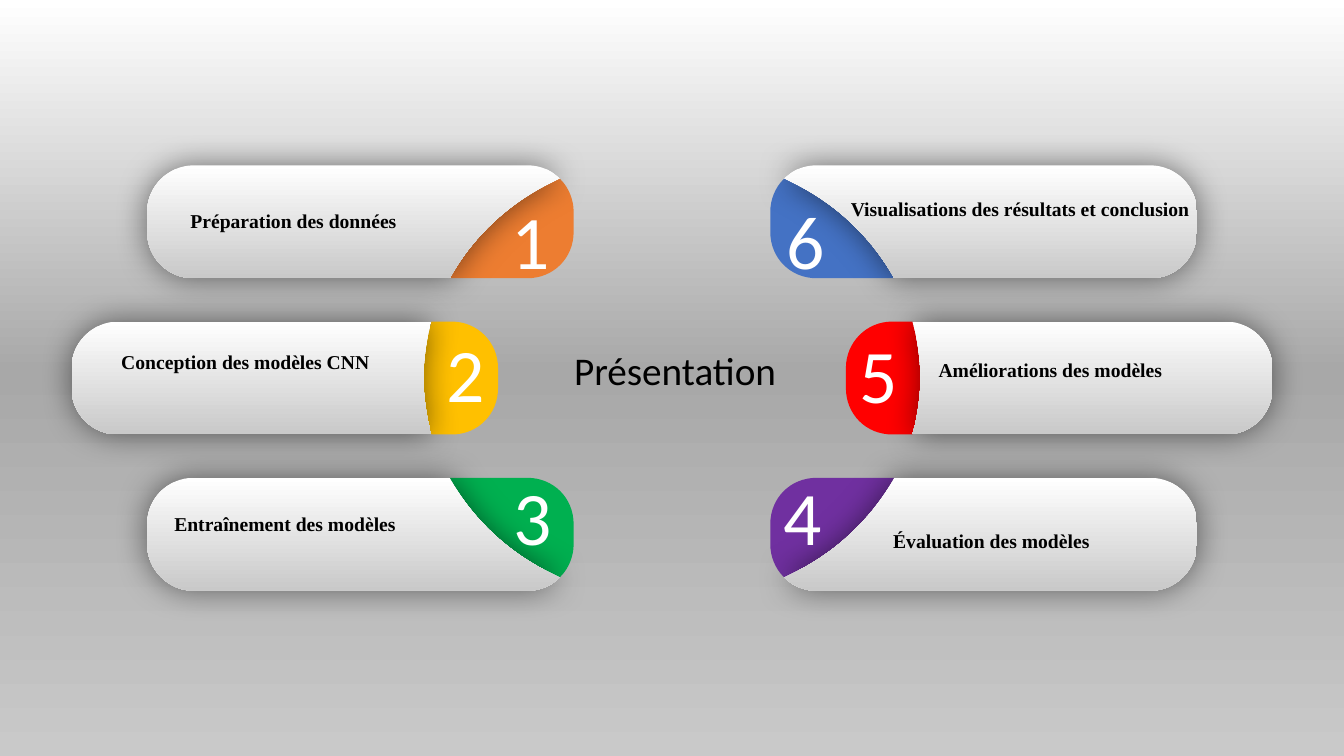
from copy import deepcopy
from lxml import etree
from pptx import Presentation
from pptx.dml.color import RGBColor as RGB
from pptx.enum.text import MSO_AUTO_SIZE as Auto, PP_ALIGN as Align
from pptx.oxml.ns import qn
from pptx.util import Inches, Pt

WIDE, HIGH = 4.23, 1.12
END = [(0.46, 1.12), (0.21, 1.12, 0, 0.92, 0, 0.66), (0, 0.46), (0, 0.21, 0.21, 0, 0.46, 0)]
CURVE = [(4.03, 0.16), (3.61, 0.36, 3.27, 0.67, 3.04, 1.05), (3, 1.12)]
CURVE_UP = [(3, 1.12), (3.04, 1.05), (3.27, 0.67, 3.61, 0.36, 4.03, 0.16)]
ARC = [(3.54, 0.11), (3.51, 0.26, 3.49, 0.41, 3.49, 0.56),
       (3.49, 0.71, 3.51, 0.86, 3.54, 1.01), (3.57, 1.12)]
ARC_UP = [(3.57, 1.12), (3.54, 1.01), (3.51, 0.86, 3.49, 0.71, 3.49, 0.56),
          (3.49, 0.41, 3.51, 0.26, 3.54, 0.11)]
ROUND = [(4.23, 0.66), (4.23, 0.92, 4.03, 1.12, 3.77, 1.12)]
PANEL = {
    "corner": [(0.46, 0), (3.77, 0), (3.87, 0, 3.96, 0.03, 4.03, 0.08), (4.09, 0.13)] + CURVE + END,
    "side": [(0.46, 0), (3.57, 0)] + ARC + END,
}
TAB = {
    "corner": [(4.09, 0.13), (4.1, 0.14), (4.18, 0.22, 4.23, 0.34, 4.23, 0.46)] + ROUND + CURVE_UP,
    "side": [(3.57, 0), (3.77, 0), (4.03, 0, 4.23, 0.21, 4.23, 0.46)] + ROUND + ARC_UP,
}
PILLS = [
    ("corner", 1.46, 1.64, False, False, "ED7D31"),
    ("corner", 7.64, 1.64, True, False, "4472C4"),
    ("side", 0.71, 3.19, False, False, "FFC000"),
    ("side", 8.39, 3.19, True, False, "FF0000"),
    ("corner", 1.46, 4.74, False, True, "00B050"),
    ("corner", 7.64, 4.74, True, True, "7030A0"),
]
DIGITS = [("1", 4.97, 1.87), ("2", 4.32, 3.19), ("3", 4.99, 4.61),
          ("4", 7.67, 4.61), ("5", 8.42, 3.2), ("6", 7.7, 1.87)]
LABELS = [
    ("Préparation des données", (1.79, 1.77, 2.84, 0.52), Align.LEFT, 35),
    ("Conception des modèles CNN", (0.67, 3.42, 3.53, 0.34), Align.CENTER, None),
    ("Entraînement des modèles", (1.63, 4.82, 3.01, 0.95), Align.LEFT, 31.7),
    ("Évaluation des modèles", (8.76, 4.99, 2.72, 0.49), Align.LEFT, 31.7),
    ("Améliorations des modèles", (9.21, 3.5, 2.55, 0.34), Align.LEFT, None),
    ("Visualisations des résultats et conclusion", (8.34, 1.9, 3.73, 0.34), Align.LEFT, None),
]
DIGIT = {"size": Pt(54), "name": "Calibri"}
LABEL = {"size": Pt(14), "name": "Times New Roman", "bold": True}
TITLE = {"size": Pt(28), "name": "Calibri"}


def color(code):
    """Turn a hex string into a colour."""
    return RGB.from_string(code)


def blend(fill, root, stops):
    """Fill from top to bottom through (position, colour) stops."""
    fill.gradient()
    fill.gradient_angle = 270
    marks = next(root.iter(qn("a:gsLst")))
    for _ in stops[2:]:
        marks.append(deepcopy(marks[0]))
    for mark, (pos, code) in zip(fill.gradient_stops, stops):
        mark.position = pos
        mark.color.rgb = color(code)


def glow(shape):
    """Add a soft, centred shadow."""
    effects = shape.element.spPr.find(qn("a:effectLst"))
    outer = etree.SubElement(effects, qn("a:outerShdw"), blurRad=str(Pt(23)), dist="0",
                             dir="5400000", algn="ctr", rotWithShape="0")
    tint = etree.SubElement(outer, qn("a:srgbClr"), val="000000")
    etree.SubElement(tint, qn("a:alpha"), val="50000")


def bend(shape, legs):
    """Turn the legs that hold three points into cubic curves."""
    lines = list(shape.element.iter(qn("a:lnTo")))
    for line, leg in zip(lines, legs):
        if len(leg) == 3:
            line.tag = qn("a:cubicBezTo")
            for spot, (x, y) in enumerate(leg[:2]):
                dot = etree.Element(qn("a:pt"), x=str(x - shape.left), y=str(y - shape.top))
                line.insert(spot, dot)


def outline(slide, route, left, top, mirror, flip):
    """Draw a route in a pill box, mirrored or flipped as asked."""
    legs = [[(Inches(left + (WIDE - x if mirror else x)),
              Inches(top + (HIGH - y if flip else y)))
             for x, y in zip(leg[::2], leg[1::2])] for leg in route]
    pen = slide.shapes.build_freeform(*legs[0][0])
    pen.add_line_segments([leg[-1] for leg in legs[1:]], close=True)
    shape = pen.convert_to_shape()
    bend(shape, legs[1:])
    shape.shadow.inherit = False
    shape.line.fill.background()
    return shape


def add_tab(slide, kind, left, top, mirror, flip, code):
    """Draw the coloured tab of a pill."""
    shape = outline(slide, TAB[kind], left, top, mirror, flip)
    shape.fill.solid()
    shape.fill.fore_color.rgb = color(code)


def add_panel(slide, kind, left, top, mirror, flip):
    """Draw the pale panel of a pill."""
    shape = outline(slide, PANEL[kind], left, top, mirror, flip)
    blend(shape.fill, shape.element, [(0, "FFFFFF"), (1, "C9C9C9")])
    glow(shape)


def write(slide, text, box, style, code="000000", align=Align.CENTER, lead=None, wrap=True):
    """Place one line of styled text in a box."""
    frame = slide.shapes.add_textbox(*map(Inches, box)).text_frame
    frame.word_wrap = wrap
    frame.auto_size = Auto.SHAPE_TO_FIT_TEXT
    para = frame.paragraphs[0]
    para.alignment = align
    if lead:
        para.line_spacing = Pt(lead)
    run = para.add_run()
    run.text = text
    for key, value in style.items():
        setattr(run.font, key, value)
    run.font.color.rgb = color(code)


def main():
    """Build and save the slide."""
    deck = Presentation()
    deck.slide_width, deck.slide_height = Inches(13.33), Inches(7.5)
    slide = deck.slides.add_slide(deck.slide_layouts[6])
    blend(slide.background.fill, slide.element, [(0, "FFFFFF"), (0.49, "A8A8A8"), (1, "C9C9C9")])
    for pill in PILLS:
        add_tab(slide, *pill)
    for pill in PILLS:
        add_panel(slide, *pill[:-1])
    for text, left, top in DIGITS:
        write(slide, text, (left, top, 0.59, 1.01), DIGIT, "FFFFFF", wrap=text == "4")
    for text, box, align, lead in LABELS:
        write(slide, text, box, LABEL, align=align, lead=lead)
    write(slide, "Présentation", (5.49, 3.39, 2.41, 0.57), TITLE)
    deck.save("out.pptx")


if __name__ == "__main__":
    main()
